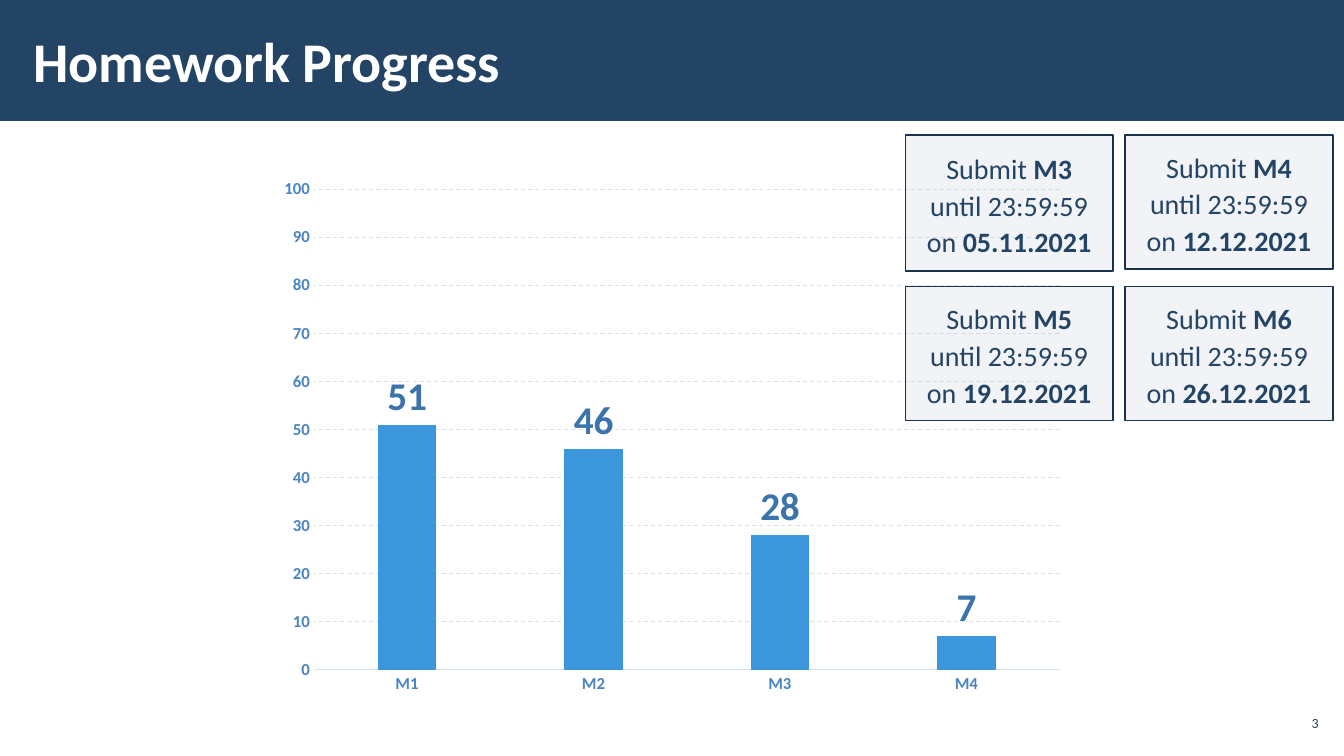
import pptx
import pptx.util
import pptx.chart.data
import pptx.dml.color
import pptx.enum.chart
import pptx.enum.dml
import pptx.enum.shapes
import pptx.enum.text
import pptx.oxml

Inches = pptx.util.Inches
Pt = pptx.util.Pt
RGBColor = pptx.dml.color.RGBColor
Align = pptx.enum.text.PP_ALIGN
Anchor = pptx.enum.text.MSO_ANCHOR
RECTANGLE = pptx.enum.shapes.MSO_SHAPE.RECTANGLE

NAVY = RGBColor(0x23, 0x44, 0x65)
WHITE = RGBColor(0xFF, 0xFF, 0xFF)
BAR_BLUE = RGBColor(0x3C, 0x96, 0xDC)
LINE_BLUE = RGBColor(0x90, 0xC1, 0xFA)
LABEL_BLUE = RGBColor(0x3B, 0x73, 0xAA)
AXIS_BLUE = RGBColor(0x4A, 0x85, 0xC0)
GRID_BLUE = RGBColor(0xD5, 0xE3, 0xF1)
CARD_GREY = RGBColor(0xAD, 0xB4, 0xC3)
CARD_EDGE = RGBColor(0x1A, 0x33, 0x4C)
FONT = "Calibri"


def style_font(font, size, color, bold=False):
    font.name, font.size, font.bold = FONT, Pt(size), bold
    font.color.rgb = color


def write(box, *texts, size, color=NAVY, bold=(False,), align=Align.LEFT,
          anchor=Anchor.MIDDLE, margins=(0.12, 0.04), spacing=None):
    """Fill a box with one paragraph; bold holds one flag per text."""
    frame = box.text_frame
    frame.word_wrap = True
    frame.auto_size = pptx.enum.text.MSO_AUTO_SIZE.NONE
    frame.vertical_anchor = anchor
    frame.margin_left = frame.margin_right = Inches(margins[0])
    frame.margin_top = frame.margin_bottom = Inches(margins[1])
    para = frame.paragraphs[0]
    para.alignment, para.line_spacing = align, spacing
    for text, heavy in zip(texts, bold):
        span = para.add_run()
        span.text = text
        style_font(span.font, size, color, heavy)


deck = pptx.Presentation()
deck.slide_width, deck.slide_height = Inches(13.33), Inches(7.5)
page = deck.slides.add_slide(deck.slide_layouts[5])

# Header band, behind the title
band = page.shapes.add_shape(RECTANGLE, 0, 0, deck.slide_width, Inches(1.2))
band.shadow.inherit = False
band.fill.solid()
band.fill.fore_color.rgb = NAVY
band.line.fill.background()
title = page.shapes.title
band._element.addnext(title._element)
title.left, title.top = Inches(0.21), Inches(0.11)
title.width, title.height = Inches(10.63), Inches(0.97)
write(title, "Homework Progress", size=40, color=WHITE, bold=(True,))

# Page number
number = page.shapes.add_textbox(Inches(12.65), Inches(7), Inches(0.47), Inches(0.34))
write(number, "3", size=10, align=Align.RIGHT, margins=(0.04, 0.04))

# Column chart
data = pptx.chart.data.CategoryChartData()
data.categories = ["M1", "M2", "M3", "M4"]
data.add_series("Series 1", (51, 46, 28, 7))
data.add_series("Series 2", (1,))
chart = page.shapes.add_chart(
    pptx.enum.chart.XL_CHART_TYPE.COLUMN_CLUSTERED,
    Inches(2.66), Inches(1.67), Inches(8.01), Inches(5.32), data).chart
chart.has_legend = chart.has_title = False
style_font(chart.font, 10, NAVY)

# Second series becomes a line on the same axes
columns = chart._chartSpace.xpath(".//c:barChart")[0]
line_chart = pptx.oxml.parse_xml(
    '<c:lineChart xmlns:c="http://schemas.openxmlformats.org/drawingml/2006/chart">'
    '<c:grouping val="standard"/><c:varyColors val="0"/></c:lineChart>')
moved = columns.xpath("c:ser")[1]
for flag in moved.xpath("c:invertIfNegative"):
    moved.remove(flag)
line_chart.append(moved)
for axis_id in columns.xpath("c:axId"):
    line_chart.append(pptx.oxml.parse_xml(pptx.oxml.xmlchemy.serialize_for_reading(axis_id)))
columns.addnext(line_chart)

plot, line_plot = chart.plots
trend = line_plot.series[0]
trend.smooth = False
trend.marker.style = pptx.enum.chart.XL_MARKER_STYLE.NONE
trend.format.line.color.rgb = LINE_BLUE
trend.format.line.width = Pt(2.25)

plot.gap_width = 219
plot.vary_by_categories = False
bars = plot.series[0]
bars.format.fill.solid()
bars.format.fill.fore_color.rgb = BAR_BLUE
labels = bars.data_labels
labels.show_value = True
labels.position = pptx.enum.chart.XL_LABEL_POSITION.OUTSIDE_END
style_font(labels.font, 28, LABEL_BLUE, True)

for axis in (chart.category_axis, chart.value_axis):
    axis.major_tick_mark = axis.minor_tick_mark = pptx.enum.chart.XL_TICK_MARK.NONE
    style_font(axis.tick_labels.font, 12, AXIS_BLUE, True)
chart.category_axis.has_major_gridlines = False
values = chart.value_axis
values.minimum_scale, values.maximum_scale, values.major_unit = 0, 100, 10
values.format.line.fill.background()
values.has_major_gridlines = True
grid = values.major_gridlines.format.line
for line in (chart.category_axis.format.line, grid):
    line.color.rgb = GRID_BLUE
    line.width = Pt(0.75)
grid.dash_style = pptx.enum.dml.MSO_LINE.DASH

# Deadline cards, two by two
deadlines = [("M3", "05.11.2021", 1.35), ("M4", "12.12.2021", 1.33),
             ("M5", "19.12.2021", 1.33), ("M6", "26.12.2021", 1.33)]
for index, (homework, date, height) in enumerate(deadlines):
    row, column = divmod(index, 2)
    card = page.shapes.add_shape(
        RECTANGLE, Inches(8.98 + 2.18 * column), Inches(1.34 + 1.5 * row),
        Inches(2.06), Inches(height))
    card.shadow.inherit = False
    card.fill.solid()
    card.fill.fore_color.rgb = CARD_GREY
    tint = card._element.spPr.xpath("a:solidFill/a:srgbClr")[0]
    tint.append(pptx.oxml.parse_xml(
        '<a:alpha xmlns:a="http://schemas.openxmlformats.org/drawingml/2006/main"'
        ' val="15000"/>'))
    card.line.color.rgb = CARD_EDGE
    card.line.width = Pt(1)
    write(card, "Submit ", homework, " until 23:59:59 on ", date, size=20,
          bold=(False, True, False, True), align=Align.CENTER,
          margins=(0.16, 0.12), spacing=1.1)

deck.save("out.pptx")
